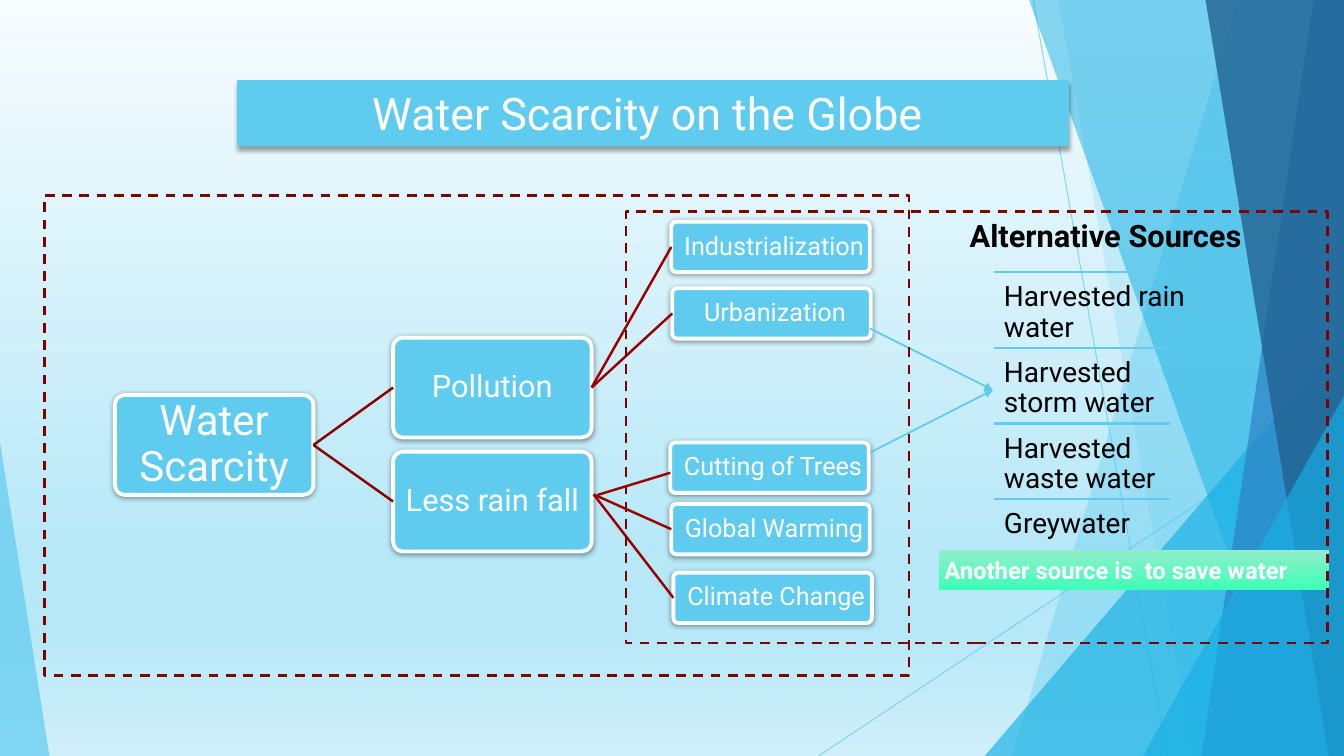
"""Builds the water scarcity slide: causes on the left, alternative sources on the right."""
from pptx import Presentation
from pptx.dml.color import RGBColor
from pptx.enum.dml import MSO_LINE
from pptx.enum.shapes import MSO_CONNECTOR, MSO_SHAPE
from pptx.enum.text import MSO_ANCHOR, MSO_AUTO_SIZE, PP_ALIGN
from pptx.oxml.ns import qn
from pptx.util import Pt
from lxml.etree import SubElement
from copy import deepcopy

rgb = RGBColor.from_string
W, H = 960, 540
SKY, WHITE, BLACK = "5FCBEF", "FFFFFF", "000000"
TREE_RED, CAUSE_RED, FRAME_RED = "890101", "9C0101", "7E0101"


def link(x1, y1, x2, y2, colour, width):
    c = sl.shapes.add_connector(MSO_CONNECTOR.STRAIGHT, Pt(x1), Pt(y1), Pt(x2), Pt(y2))
    c.line.color.rgb = rgb(colour)
    c.line.width = Pt(width)
    SubElement(c._element.spPr, qn("a:effectLst"))
    return c


def write(s, text, size, colour, align, inset, anchor=MSO_ANCHOR.TOP, bold=False):
    tf = s.text_frame
    tf.text = text
    tf.word_wrap = True
    tf.auto_size = MSO_AUTO_SIZE.NONE
    tf.vertical_anchor = anchor
    tf.margin_left = tf.margin_right = tf.margin_top = tf.margin_bottom = Pt(inset)
    for p in tf.paragraphs:
        p.alignment = align
        for r in p.runs:
            r.font.name, r.font.size, r.font.bold = "Roboto", Pt(size), bold
            r.font.color.rgb = rgb(colour)
    return tf


prs = Presentation()
prs.slide_width, prs.slide_height = Pt(W), Pt(H)
sl = prs.slides.add_slide(prs.slide_layouts[1])
title, body = sl.placeholders

bg = sl.background.fill
bg.gradient()
bg.gradient_angle = 270
stops = sl._element.find(".//" + qn("a:gsLst"))
for stop in list(stops):
    stops.append(deepcopy(stop))
sky_stops = [(0, "F7FCFE"), (0.74, "B7E8F8"), (0.83, "B7E8F8"), (1, "CFEFFA")]
for stop, (pos, colour) in zip(bg.gradient_stops, sky_stops):
    stop.position = pos
    stop.color.rgb = rgb(colour)

for ends in [(738, 0, 833.8, H), (W, 290.2, 584.6, H)]:
    c = link(*ends, SKY, 0.75)
    SubElement(c._element.find(".//" + qn("a:srgbClr")), qn("a:alpha"), val="70000")

facets = [
    ("band", 884.2, 722.9, SKY, 36),
    ("band", 756, 851.8, SKY, 20),
    ("right", 703.4, 239.8, "17B0E4", 66),
    ("band", 735.1, 929.5, "17B0E4", 50),
    ("band", 938.2, 858.2, "2E83C3", 70),
    ("band", 861.1, 949, "226292", 80),
    ("right", 816.5, 283, "17B0E4", 66),
    ("left", 35.3, 316.1, SKY, 70),
]
for kind, a, b, colour, opacity in facets:
    if kind == "band":
        fb = sl.shapes.build_freeform(Pt(a), 0)
        fb.add_line_segments([(Pt(W), 0), (Pt(W), Pt(H)), (Pt(b), Pt(H))])
        s = fb.convert_to_shape()
    else:
        x, w = (a, W - a) if kind == "right" else (0, a)
        s = sl.shapes.add_shape(MSO_SHAPE.ISOSCELES_TRIANGLE, Pt(x), Pt(b), Pt(w), Pt(H - b))
        s.adjustments[0] = 1 if kind == "right" else 0
    s.shadow.inherit = False
    s.line.fill.background()
    s.fill.solid()
    s.fill.fore_color.rgb = rgb(colour)
    SubElement(s._element.find(".//" + qn("a:srgbClr")), qn("a:alpha"), val=str(opacity * 1000))

nodes = [
    ("Water Scarcity", 82.1, 282.2, 71.3, 30),
    ("Pollution", 280.8, 241.2, 71.3, 22),
    ("Less rain fall", 280.8, 322.6, 71.3, 22),
    ("Industrialization", 479.5, 158.4, 36, 18),
    ("Urbanization", 480.2, 205.9, 36, 18),
    ("Cutting of Trees", 478.8, 316.1, 36, 18),
    ("Global Warming", 479.5, 360, 36, 18),
    ("Climate Change", 481, 409, 36, 18),
]
boxes = {}
for text, x, y, h, size in nodes:
    s = sl.shapes.add_shape(MSO_SHAPE.ROUNDED_RECTANGLE, Pt(x), Pt(y), Pt(141.8), Pt(h))
    s.adjustments[0] = 0.1
    s.line.color.rgb = rgb(WHITE)
    s.line.width = Pt(2.75)
    tf = write(s, text, size, WHITE, PP_ALIGN.CENTER, 1.4, MSO_ANCHOR.MIDDLE)
    tf.paragraphs[0].line_spacing = 0.9
    if size == 18:
        tf.margin_left = Pt(6.4)
    boxes[text] = s

tree = [
    ("Water Scarcity", "Pollution", TREE_RED),
    ("Water Scarcity", "Less rain fall", TREE_RED),
    ("Pollution", "Industrialization", CAUSE_RED),
    ("Pollution", "Urbanization", CAUSE_RED),
]
for parent, child, colour in tree:
    c = link(0, 0, 0, 0, colour, 1.75)
    c.begin_connect(boxes[parent], 3)
    c.end_connect(boxes[child], 1)
link(427, 353.5, 478.8, 337.7, CAUSE_RED, 1.75)
for child in ("Global Warming", "Climate Change"):
    c = link(424.1, 353.2, 479, 378, CAUSE_RED, 1.75)
    c.end_connect(boxes[child], 1)

for y in (234.7, 323.3):
    c = link(621.4, y, 709.2, 278.6, SKY, 1.25)
    SubElement(c.line._get_or_add_ln(), qn("a:tailEnd"), type="triangle")

for row in range(4):
    y = 194.4 + 54 * row
    link(709.9, y, 835.9, y, SKY, 1.75)
body.left, body.top, body.width, body.height = Pt(709.9), Pt(194.4), Pt(151), Pt(198.7)
sources = ["Harvested rain water", "Harvested storm water", "Harvested waste water", "Greywater"]
tf = write(body, "\n".join(sources), 20, BLACK, PP_ALIGN.LEFT, 7.2)
for p in tf.paragraphs:
    p.line_spacing = Pt(21.6)
    p.space_before = Pt(10.8)
    pPr = p._p.get_or_add_pPr()
    pPr.set("marL", "0")
    pPr.set("indent", "0")
    SubElement(pPr, qn("a:buNone"))
sl.shapes._spTree.append(body._element)

banner = sl.shapes.add_shape(MSO_SHAPE.RECTANGLE, Pt(671), Pt(393.1), Pt(278.6), Pt(28.1))
banner.shadow.inherit = False
banner.line.fill.background()
banner.fill.gradient()
banner.fill.gradient_angle = 270
for stop, colour in zip(banner.fill.gradient_stops, ("91EECB", "3DFFB7")):
    stop.color.rgb = rgb(colour)
write(banner, "Another source is  to save water", 17, WHITE, PP_ALIGN.LEFT, 3.6, bold=True)

for x, y, w, h in [(31.7, 139.7, 617.8, 342.7), (447.1, 151.2, 501.1, 308.2)]:
    s = sl.shapes.add_shape(MSO_SHAPE.RECTANGLE, Pt(x), Pt(y), Pt(w), Pt(h))
    s.shadow.inherit = False
    s.fill.background()
    s.line.color.rgb = rgb(FRAME_RED)
    s.line.width = Pt(1.75)
    s.line.dash_style = MSO_LINE.DASH

heading = sl.shapes.add_textbox(Pt(689), Pt(151.2), Pt(217.4), Pt(33.8))
write(heading, "Alternative Sources", 22, BLACK, PP_ALIGN.LEFT, 3.6, bold=True)

title.left, title.top, title.width, title.height = Pt(169.9), Pt(57.6), Pt(593.3), Pt(46.1)
title.line.color.rgb = rgb(SKY)
title.line.width = Pt(1.25)
write(title, "Water Scarcity on the Globe ", 32, WHITE, PP_ALIGN.CENTER, 3.6)
sl.shapes._spTree.append(title._element)

for s in [*boxes.values(), title]:
    blur, dist, angle, opacity = (3, 3, 90, 35) if s is title else (4, 1, 88, 40)
    s.fill.solid()
    s.fill.fore_color.rgb = rgb(SKY)
    s.shadow.inherit = False
    shadow = SubElement(s._element.spPr.find(qn("a:effectLst")), qn("a:outerShdw"),
                        blurRad=str(Pt(blur)), dist=str(Pt(dist)), dir=str(angle * 60000),
                        rotWithShape="0")
    SubElement(SubElement(shadow, qn("a:srgbClr"), val=BLACK), qn("a:alpha"), val=str(opacity * 1000))

prs.save("out.pptx")
